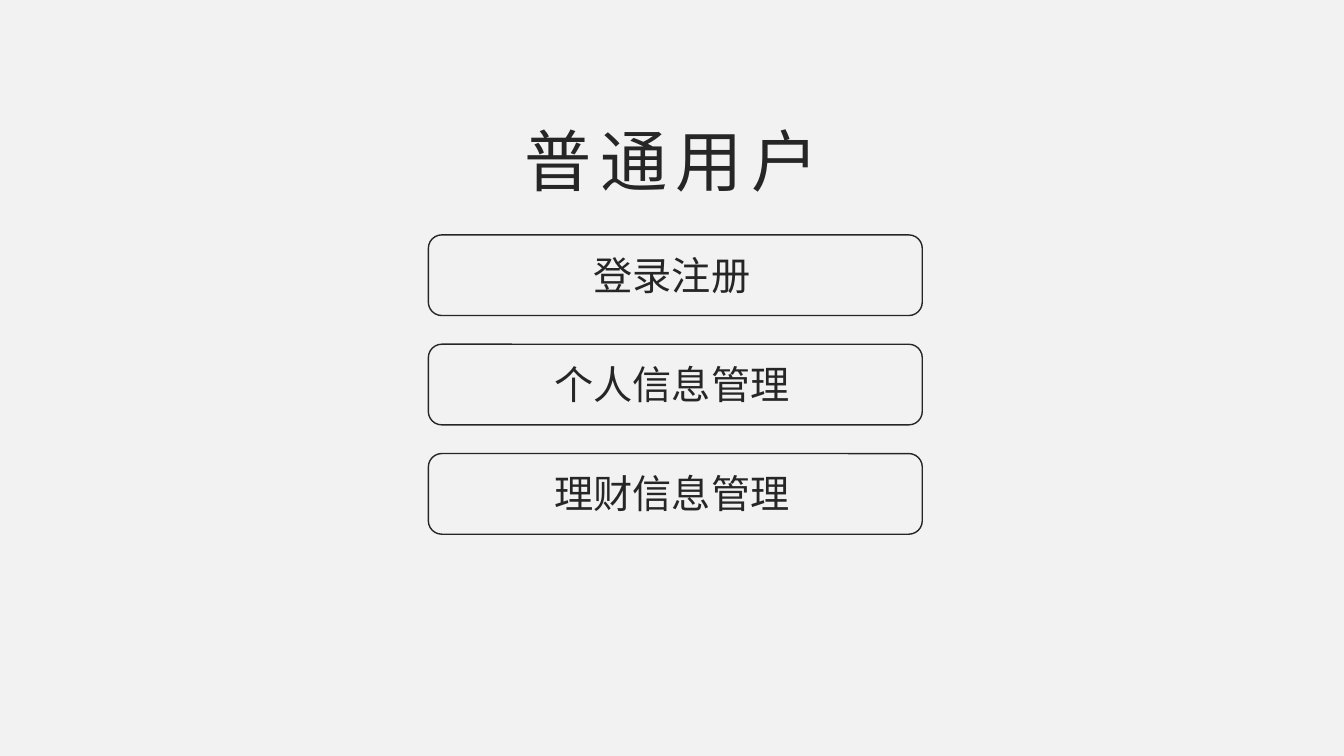
from lxml.etree import SubElement
from pptx import Presentation
from pptx.dml.color import RGBColor
from pptx.enum.shapes import MSO_SHAPE
from pptx.enum.text import MSO_AUTO_SIZE, PP_ALIGN
from pptx.oxml.ns import qn
from pptx.util import Pt

INK = RGBColor(0x26, 0x26, 0x26)
BACKGROUND = RGBColor(0xF2, 0xF2, 0xF2)
FONT = "Noto Sans CJK SC"
SLIDE_WIDTH, SLIDE_HEIGHT = 960, 540
FEATURES = ["登录注册", "个人信息管理", "理财信息管理"]


def add_label(slide, text, center, top, width, height, size, spacing=0):
    """Add one centred line of text around a horizontal centre."""
    shape = slide.shapes.add_textbox(
        Pt(center - width / 2), Pt(top), Pt(width), Pt(height))
    text_frame = shape.text_frame
    text_frame.text = text
    text_frame.word_wrap = False
    text_frame.auto_size = MSO_AUTO_SIZE.SHAPE_TO_FIT_TEXT
    paragraph = text_frame.paragraphs[0]
    paragraph.alignment = PP_ALIGN.CENTER
    run = paragraph.runs[0]
    run.font.size = Pt(size)
    run.font.name = FONT
    run.font.color.rgb = INK
    properties = run.font._element
    SubElement(properties, qn("a:ea")).set("typeface", FONT)
    if spacing:
        properties.set("spc", str(spacing * 100))


def add_title(slide, text, left, top, width, height):
    """Add the widely spaced slide title."""
    add_label(slide, text, left + width / 2, top, width, height, 48, spacing=6)


def add_feature_list(slide, features, left, top, width, height):
    """Stack one outlined box with a label for each feature."""
    box_height = 57.6
    pitch = (height - box_height) / (len(features) - 1)
    label_size, label_height = 28, 41
    for index, feature in enumerate(features):
        box_top = top + index * pitch
        box = slide.shapes.add_shape(
            MSO_SHAPE.ROUNDED_RECTANGLE,
            Pt(left), Pt(box_top), Pt(width), Pt(box_height))
        box.shadow.inherit = False
        box.fill.background()
        box.line.color.rgb = INK
        box.line.width = Pt(1)
        add_label(slide, feature, left + width / 2 - 2.4, box_top + 8,
                  len(feature) * label_size + 15, label_height, label_size)


def build_user_slide(presentation):
    """Build the slide listing what an ordinary user can do."""
    slide = presentation.slides.add_slide(presentation.slide_layouts[6])
    slide.background.fill.solid()
    slide.background.fill.fore_color.rgb = BACKGROUND
    add_title(slide, "普通用户", 363.6, 82, 232.6, 65.5)
    add_feature_list(slide, FEATURES, 306, 167.8, 352.8, 213.8)


presentation = Presentation()
presentation.slide_width = Pt(SLIDE_WIDTH)
presentation.slide_height = Pt(SLIDE_HEIGHT)
build_user_slide(presentation)
presentation.save("out.pptx")
